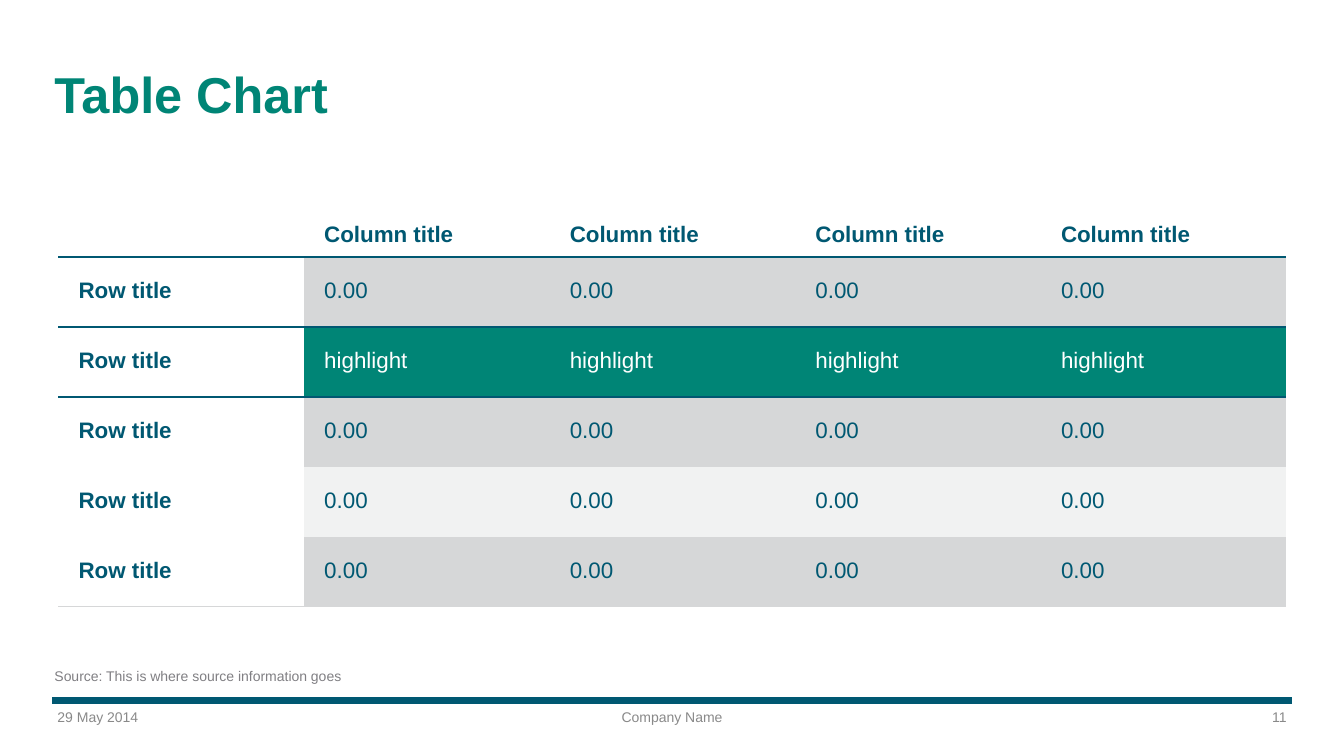
from dataclasses import dataclass
from lxml.etree import SubElement
from pptx import Presentation
from pptx.dml.color import RGBColor as Rgb
from pptx.enum.shapes import MSO_CONNECTOR as Link
from pptx.enum.text import MSO_ANCHOR as Anchor, MSO_AUTO_SIZE as Fit, PP_ALIGN as Align
from pptx.oxml import parse_xml
from pptx.oxml.ns import nsdecls, qn
from pptx.util import Inches, Pt


@dataclass(frozen=True)
class Theme:
    font: str = "Arial"
    teal: str = "008576"
    navy: str = "005872"
    white: str = "FFFFFF"
    dark: str = "D6D7D8"
    pale: str = "F1F2F2"
    foot: str = "898989"
    note: str = "807F83"
    head: int = 36
    cell: int = 16
    small: int = 10
    rule: float = 2.25
    hair: float = 1
    bar: float = 5.5


THEME = Theme()
PLAIN = "{2D5ABB26-0587-4C30-8999-92F81FD0307C}"
BODY = [
    ("0.00", THEME.dark, THEME.navy),
    ("highlight", THEME.teal, THEME.white),
    ("0.00", THEME.dark, THEME.navy),
    ("0.00", THEME.pale, THEME.navy),
    ("0.00", THEME.dark, THEME.navy),
]


def apply(item, **values):
    for name, value in values.items():
        setattr(item, name, value)


def pad(item, *sides):
    names = ("margin_left", "margin_top", "margin_right", "margin_bottom")
    apply(item, **dict(zip(names, map(Inches, sides))))


def write(frame, text, size, color, bold=False, **para):
    line = frame.paragraphs[0]
    apply(line, **para)
    if text:
        run = line.add_run()
        run.text = text
        apply(run.font, name=THEME.font, size=Pt(size), bold=bold)
        run.font.color.rgb = Rgb.from_string(color)


def label(slide, box, text, color, sides, align=Align.LEFT):
    frame = slide.shapes.add_textbox(*map(Inches, box)).text_frame
    apply(frame, word_wrap=True, auto_size=Fit.NONE)
    pad(frame, *sides)
    write(frame, text, THEME.small, color, alignment=align)


def edge(cell, side, color, width):
    line = parse_xml(
        f'<a:ln{side} {nsdecls("a")} w="{Pt(width)}"><a:solidFill>'
        f'<a:srgbClr val="{color}"/></a:solidFill></a:ln{side}>'
    )
    cell._tc.get_or_add_tcPr().insert(0, line)


def title(slide, box, text):
    shape = slide.shapes.title
    left, top, width, height = map(Inches, box)
    apply(shape, left=left, top=top, width=width, height=height)
    frame = shape.text_frame
    apply(frame, word_wrap=True, auto_size=Fit.NONE, vertical_anchor=Anchor.BOTTOM)
    pad(frame, 0.05, 0.05, 0.05, 0.05)
    write(frame, text, THEME.head, THEME.teal, True,
          alignment=Align.LEFT, line_spacing=0.95)


def grid(slide, box, first=0.51):
    rows, cols = len(BODY) + 1, 5
    table = slide.shapes.add_table(rows, cols, *map(Inches, box)).table
    apply(table, first_row=False, horz_banding=False)
    table._tbl.tblPr.find(qn("a:tableStyleId")).text = PLAIN
    for col in table.columns:
        col.width = Inches(box[2] / cols)
    for row in table.rows:
        row.height = Inches((box[3] - first) / len(BODY))
    table.rows[0].height = Inches(first)

    for r in range(rows):
        for c in range(cols):
            cell = table.cell(r, c)
            text, fill, color = BODY[r - 1] if r else ("Column title", None, THEME.navy)
            if c == 0:
                text, fill, color = "Row title" if r else "", None, THEME.navy
            pad(cell, 0.2, 0.1, 0.2, 0.1)
            cell.vertical_anchor = Anchor.MIDDLE if r else Anchor.BOTTOM
            write(cell.text_frame, text, THEME.cell, color, r == 0 or c == 0,
                  line_spacing=0.9 if r else 0.95, space_after=Pt(3 if r else 0))
            if fill:
                cell.fill.solid()
                cell.fill.fore_color.rgb = Rgb.from_string(fill)
            else:
                cell.fill.background()
            if r < 2:
                edge(cell, "B", THEME.navy, THEME.rule)
            elif r == rows - 1:
                edge(cell, "B", THEME.dark, THEME.hair)
            if r in (1, 2):
                edge(cell, "T", THEME.navy, THEME.rule)


def footer(slide, box):
    left, top, width, height = box
    ends = map(Inches, (left, top, left + width, top))
    bar = slide.shapes.add_connector(Link.STRAIGHT, *ends)
    bar.line.color.rgb = Rgb.from_string(THEME.navy)
    bar.line.width = Pt(THEME.bar)
    SubElement(bar._element.spPr, qn("a:effectLst"))
    part = 3.29
    step = (width - part) / 2
    items = [("29 May 2014", Align.LEFT), ("Company Name", Align.CENTER),
             ("11", Align.RIGHT)]
    for i, (text, align) in enumerate(items):
        place = (left + i * step, top + 0.03, part, height - 0.03)
        label(slide, place, text, THEME.foot, (0.05,) * 4, align)


def main():
    deck = Presentation()
    apply(deck, slide_width=Inches(13.33), slide_height=Inches(7.5))
    slide = deck.slides.add_slide(deck.slide_layouts[5])
    footer(slide, (0.52, 6.95, 12.29, 0.3))
    title(slide, (0.49, 0.19, 12.29, 1.1), "Table Chart")
    grid(slide, (0.58, 2.04, 12.18, 3.98))
    label(slide, (0.54, 6.55, 4.85, 0.3), "Source: This is where source information goes",
          THEME.note, (0, 0.07, 0.13, 0.07))
    deck.save("out.pptx")


if __name__ == "__main__":
    main()
